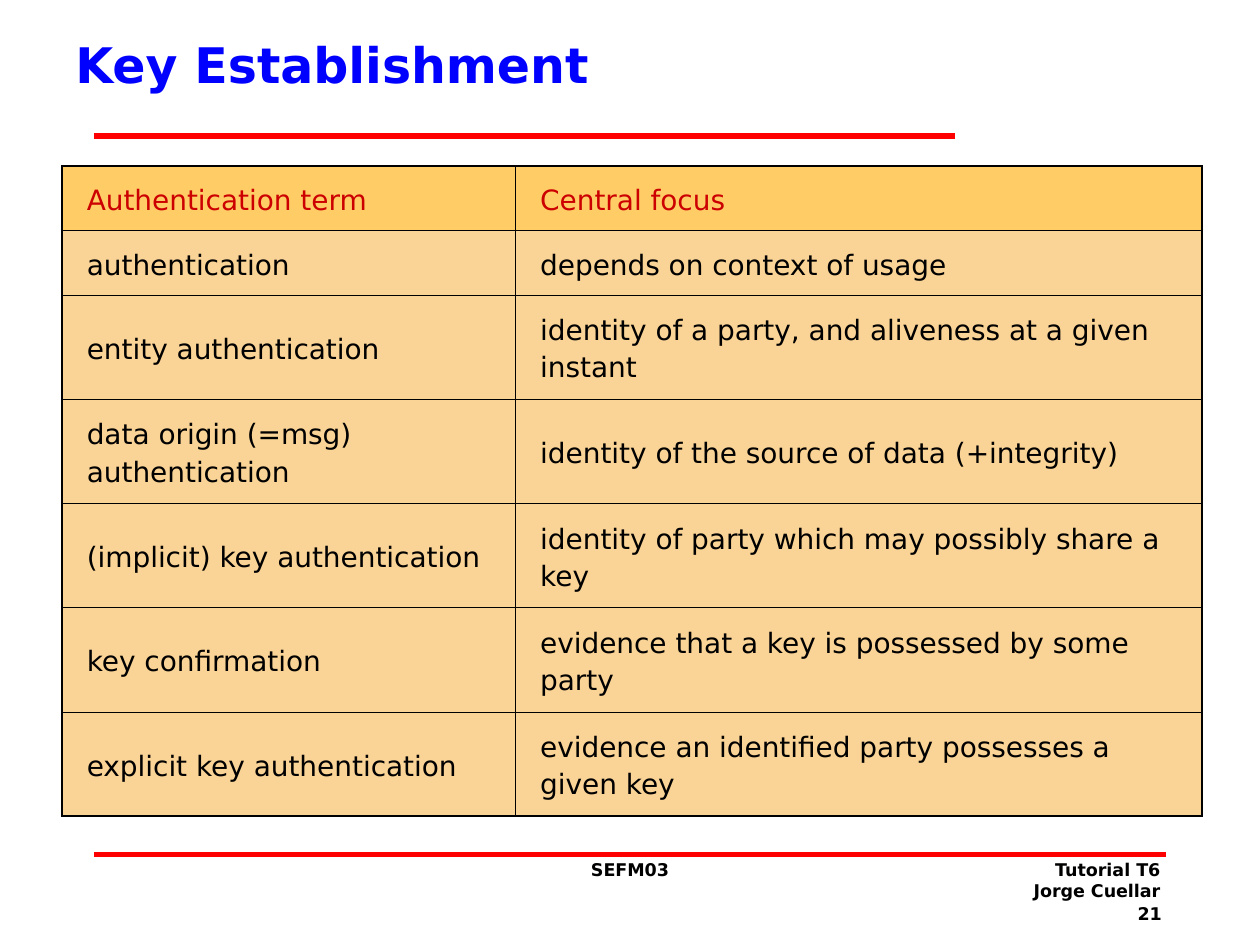
from lxml import etree
from pptx import Presentation, util as u
from pptx.dml.color import RGBColor
from pptx.enum import shapes, text
from pptx.oxml.ns import qn

COLORS = {"rule": "FF0000", "title": "0000FF", "head_text": "CC0000", "text": "000000",
          "head_fill": "FFCC66", "body_fill": "FAD496", "border": "000000"}
OUTER, INNER = 1.08, 0.45


def style(p, size, color, bold=False, **paragraph_format):
    for name, value in paragraph_format.items():
        setattr(p, name, value)
    for name, value in {"name": "DejaVu Sans", "size": u.Pt(size), "bold": bold}.items():
        setattr(p.font, name, value)
    p.font.color.rgb = RGBColor.from_string(COLORS[color])


def add_border(cell, side, width):
    ln = etree.SubElement(cell._tc.get_or_add_tcPr(), qn(f"a:ln{side}"), w=str(u.Pt(width)))
    fill = etree.SubElement(ln, qn("a:solidFill"))
    etree.SubElement(fill, qn("a:srgbClr"), val=COLORS["border"])


prs = Presentation()
prs.slide_width, prs.slide_height = u.Cm(25.4), u.Cm(19.05)
s = prs.slides.add_slide(prs.slide_layouts[6])

# Rules below the title and above the footer
for right, y in [(19.25, 2.74), (23.5, 17.22)]:
    line = s.shapes.add_connector(shapes.MSO_CONNECTOR.STRAIGHT,
                                  u.Cm(1.9), u.Cm(y), u.Cm(right), u.Cm(y))
    line.line.width = u.Pt(3)
    line.line.color.rgb = RGBColor.from_string(COLORS["rule"])
    etree.SubElement(line._element.spPr, qn("a:effectLst"))

# Title and footer texts
LEFT, CENTER, RIGHT = text.PP_ALIGN.LEFT, text.PP_ALIGN.CENTER, text.PP_ALIGN.RIGHT
TOP, MIDDLE = text.MSO_ANCHOR.TOP, text.MSO_ANCHOR.MIDDLE
boxes = [
    ((1.27, 0, 17, 2.57), "Key Establishment", 28, "title", LEFT, MIDDLE),
    ((10.06, 17.2, 5.28, 1.27), "SEFM03", 10, "text", CENTER, TOP),
    ((18.36, 17.2, 5.28, 1.27), "Tutorial T6\nJorge Cuellar", 10, "text", RIGHT, TOP),
    ((21.64, 18.08, 2.03, 0.64), "21", 10, "text", RIGHT, TOP),
]
for place, words, size, color, align, anchor in boxes:
    tf = s.shapes.add_textbox(*map(u.Cm, place)).text_frame
    tf.word_wrap = True
    tf.vertical_anchor = anchor
    tf.text = words
    for p in tf.paragraphs:
        style(p, size, color, bold=True, alignment=align)

# Table of terms
rows = [
    ("Authentication term", "Central focus"),
    ("authentication", "depends on context of usage"),
    ("entity authentication", "identity of a party, and aliveness at a given instant"),
    ("data origin (=msg) authentication", "identity of the source of data (+integrity)"),
    ("(implicit) key authentication", "identity of party which may possibly share a key"),
    ("key confirmation", "evidence that a key is possessed by some party"),
    ("explicit key authentication", "evidence an identified party possesses a given key"),
]
widths = [9.14, 13.84]
heights = [1.3] * 2 + [2.1] * 5
table = s.shapes.add_table(len(rows), len(widths), u.Cm(1.25), u.Cm(3.35),
                           u.Cm(sum(widths)), u.Cm(sum(heights))).table
for column, width in zip(table.columns, widths):
    column.width = u.Cm(width)
for i, (row, height) in enumerate(zip(rows, heights)):
    table.rows[i].height = u.Cm(height)
    part = "body" if i else "head"
    for j, words in enumerate(row):
        cell = table.cell(i, j)
        cell.text = words
        cell_format = {"margin_left": u.Cm(0.5), "margin_right": u.Cm(0.5),
                       "margin_top": u.Cm(0.13), "margin_bottom": u.Cm(0.13),
                       "vertical_anchor": MIDDLE}
        for name, value in cell_format.items():
            setattr(cell, name, value)
        style(cell.text_frame.paragraphs[0], 16, "text" if i else "head_text",
              line_spacing=1.15, space_after=u.Pt(5))
        on_edge = {"L": j == 0, "R": j == len(widths) - 1,
                   "T": i == 0, "B": i == len(rows) - 1}
        for side, outer in on_edge.items():
            add_border(cell, side, OUTER if outer else INNER)
        cell.fill.solid()
        cell.fill.fore_color.rgb = RGBColor.from_string(COLORS[f"{part}_fill"])

prs.save("out.pptx")
